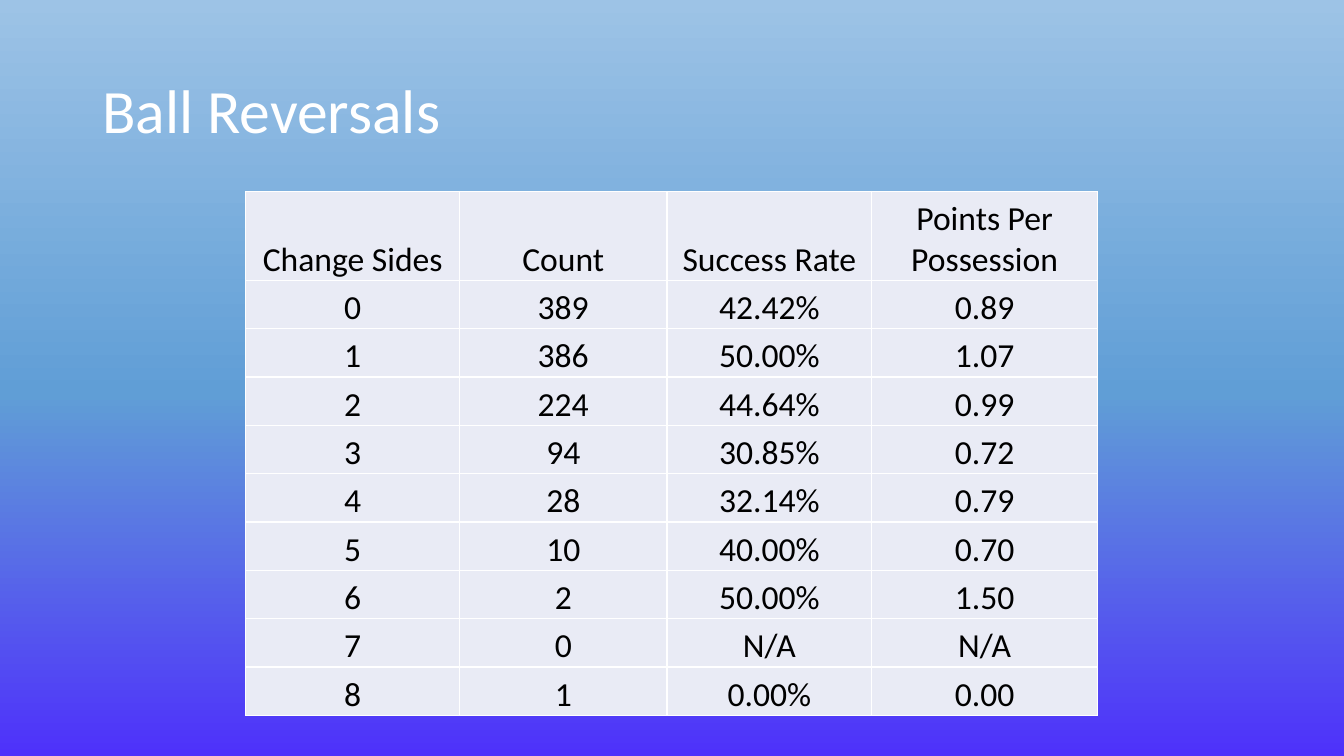
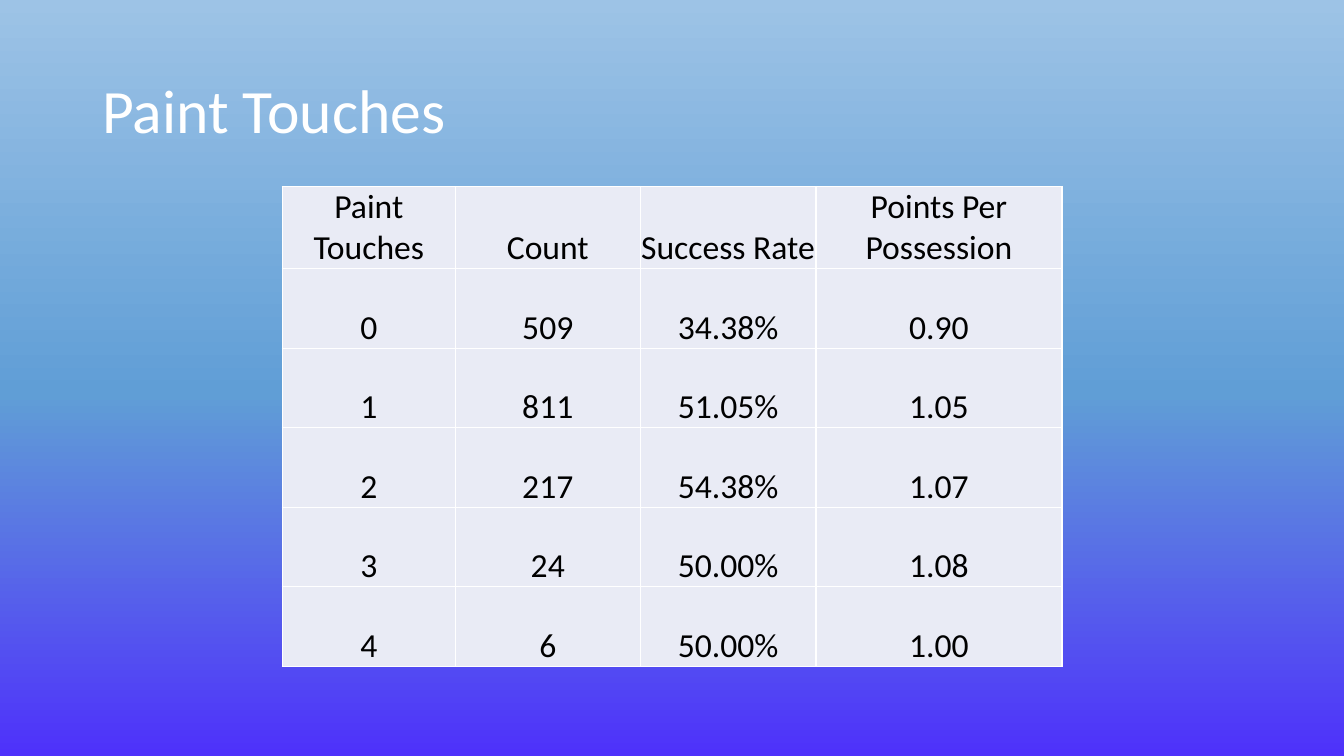
from copy import deepcopy
from lxml.etree import fromstring
from pptx import Presentation
from pptx.dml.color import RGBColor
from pptx.enum.text import MSO_ANCHOR, PP_ALIGN
from pptx.oxml.ns import qn
from pptx.util import Pt

COLORS = {
    "violet": "4E31FB",
    "blue": "609ED6",
    "sky": "9DC3E6",
    "white": "FFFFFF",
    "black": "000000",
    "cell": "E9EBF5",
}
FONT = "Calibri"
NS = "http://schemas.openxmlformats.org/drawingml/2006/main"


def add_run(p, text, size, color):
    r = p.add_run()
    r.text = text
    r.font.name = FONT
    r.font.size = Pt(size)
    r.font.color.rgb = RGBColor.from_string(COLORS[color])


def style_cell(cell):
    cell.margin_left = cell.margin_right = cell.margin_top = cell.margin_bottom = 0
    cell.vertical_anchor = MSO_ANCHOR.BOTTOM
    cell.fill.solid()
    cell.fill.fore_color.rgb = RGBColor.from_string(COLORS["cell"])
    tcPr = cell._tc.get_or_add_tcPr()
    for i, side in enumerate("LRTB"):
        tcPr.insert(i, fromstring(
            f'<a:ln{side} xmlns:a="{NS}" w="{Pt(1)}"><a:solidFill>'
            f'<a:srgbClr val="{COLORS["white"]}"/></a:solidFill></a:ln{side}>'))


prs = Presentation()
prs.slide_width, prs.slide_height = Pt(960), Pt(540)

master = prs.slide_master
fill = master.background.fill
fill.gradient()
fill.gradient_angle = 90
stops = next(master._element.iter(qn("a:gsLst")))
stops.append(deepcopy(stops[-1]))
for stop, (position, color) in zip(
        fill.gradient_stops, [(0, "violet"), (0.48, "blue"), (1, "sky")]):
    stop.position = position
    stop.color.rgb = RGBColor.from_string(COLORS[color])

slides = [
    {
        "title": "Ball Reversals",
        "left": 175.6, "top": 136.8,
        "widths": [152.6, 148.3, 146.2, 161.3],
        "header_height": 63.4, "row_height": 34.55,
        "rows": [
            ["Change Sides", "Count", "Success Rate", "Points Per Possession"],
            ["0", "389", "42.42%", "0.89"],
            ["1", "386", "50.00%", "1.07"],
            ["2", "224", "44.64%", "0.99"],
            ["3", "94", "30.85%", "0.72"],
            ["4", "28", "32.14%", "0.79"],
            ["5", "10", "40.00%", "0.70"],
            ["6", "2", "50.00%", "1.50"],
            ["7", "0", "N/A", "N/A"],
            ["8", "1", "0.00%", "0.00"],
        ],
    },
    {
        "title": "Paint Touches",
        "left": 201.6, "top": 133.2,
        "widths": [123.7, 132, 125.6, 175.7],
        "header_height": 58.8, "row_height": 56.8,
        "rows": [
            ["Paint Touches", "Count", "Success Rate", "Points Per Possession"],
            ["0", "509", "34.38%", "0.90"],
            ["1", "811", "51.05%", "1.05"],
            ["2", "217", "54.38%", "1.07"],
            ["3", "24", "50.00%", "1.08"],
            ["4", "6", "50.00%", "1.00"],
        ],
    },
]

for data in slides:
    s = prs.slides.add_slide(prs.slide_layouts[6])

    tf = s.shapes.add_textbox(Pt(66), Pt(28.75), Pt(828), Pt(104.4)).text_frame
    tf.word_wrap = True
    tf.vertical_anchor = MSO_ANCHOR.MIDDLE
    p = tf.paragraphs[0]
    p.line_spacing = 0.9
    add_run(p, data["title"], 44, "white")

    rows, widths = data["rows"], data["widths"]
    heights = [data["header_height"]] + [data["row_height"]] * (len(rows) - 1)
    table = s.shapes.add_table(
        len(rows), len(widths), Pt(data["left"]), Pt(data["top"]),
        Pt(sum(widths)), Pt(sum(heights))).table
    table.first_row = table.horz_banding = False
    for column, width in zip(table.columns, widths):
        column.width = Pt(width)
    for row, height, texts in zip(table.rows, heights, rows):
        row.height = Pt(height)
        for cell, text in zip(row.cells, texts):
            style_cell(cell)
            p = cell.text_frame.paragraphs[0]
            p.alignment = PP_ALIGN.CENTER
            add_run(p, text, 24, "black")

prs.save("out.pptx")
